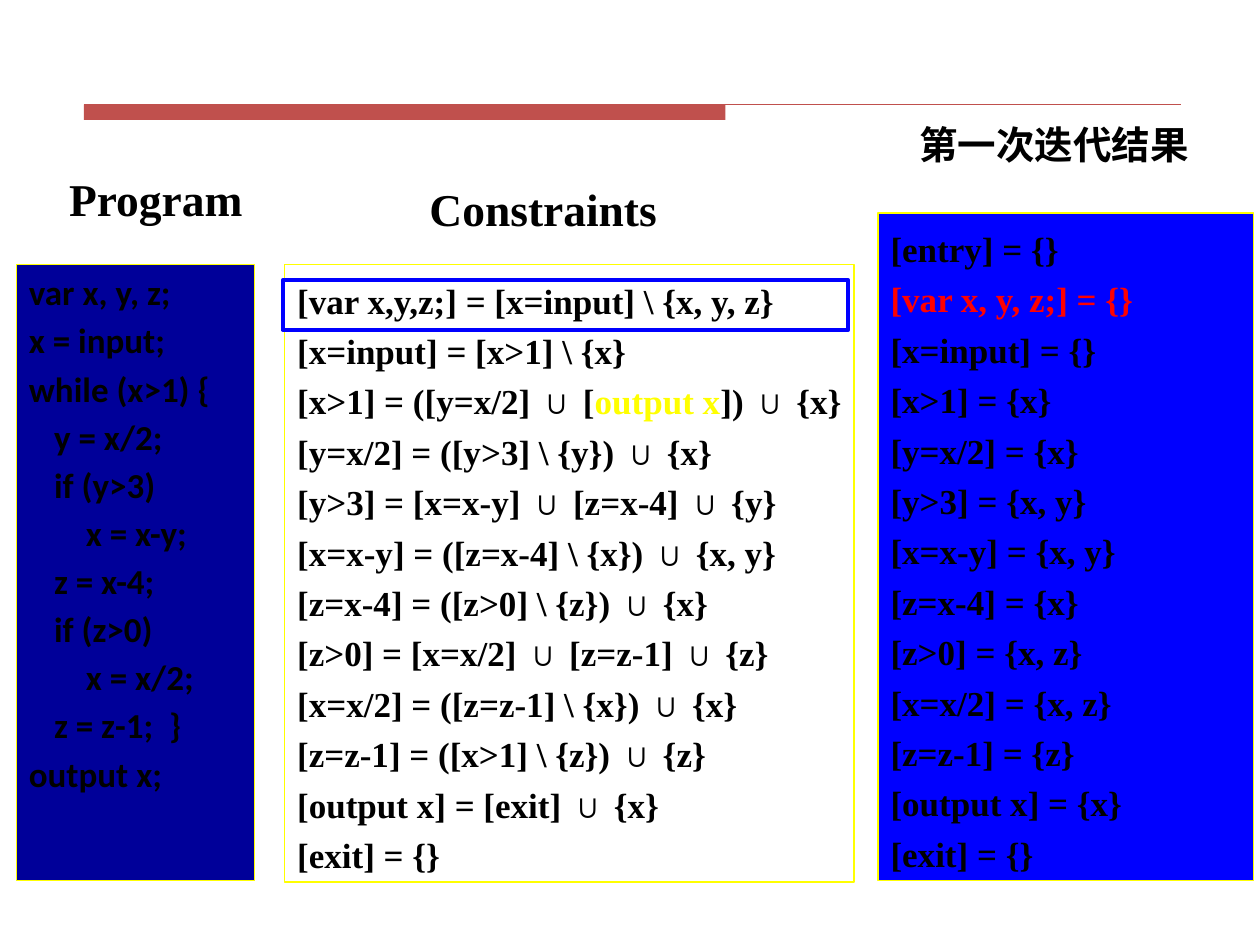
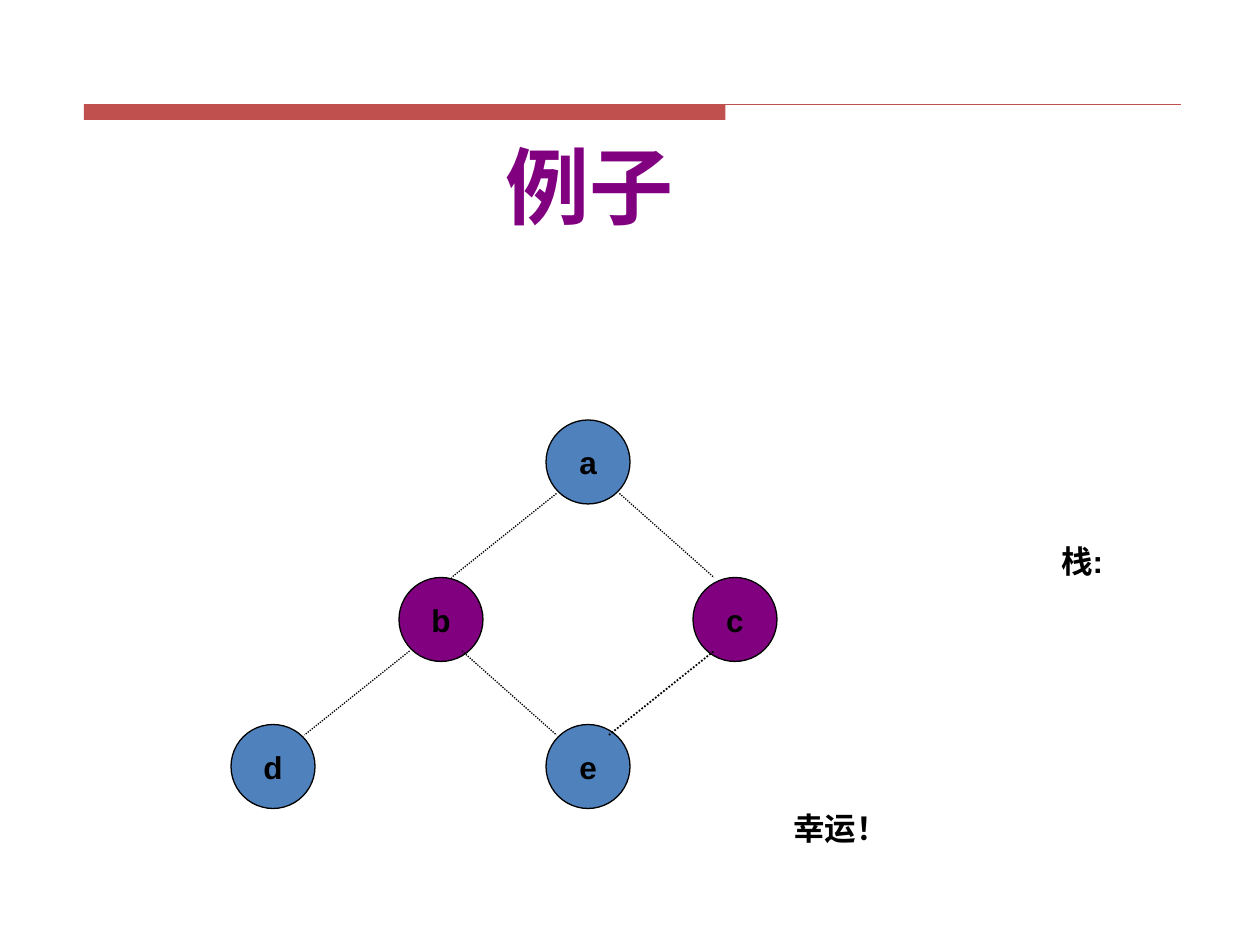
from lxml import etree
from pptx import Presentation
from pptx import util as u
from pptx.dml import color
from pptx.enum import dml, shapes, text

Pt = u.Pt
BLACK, YELLOW, RED, BLUE = "000000", "FFFF00", "FF0000", "0000FF"
NAVY, BAND, STEEL, PURPLE, WHITE = "000099", "C0504D", "4F81BD", "800080", "FFFFFF"
SERIF, SANS, CODE = "Times New Roman", "Arial", "Calibri"

HEADINGS = [
    ("Program", 26, (32.4, 94.3, 120.2, 38.2)),
    ("第一次迭代结果", 22, (518.4, 65.5, 169.2, 33.8)),
    ("Constraints", 26, (238.3, 100.1, 144.7, 38.2)),
]
PROGRAM = [
    (0, "var x, y, z;"), (0, "x = input;"), (0, "while (x>1) {"),
    (1, "y = x/2;"), (1, "if (y>3)"), (2, "x = x-y;"),
    (1, "z = x-4;"), (1, "if (z>0)"), (2, "x = x/2;"),
    (1, "z = z-1;  }"), (0, "output x;"),
]
CODE_INDENTS = (0, 14.4, 32.5)
CONSTRAINTS = [
    "[var x,y,z;] = [x=input] \\ {x, y, z}",
    "[x=input] = [x>1] \\ {x}",
    [("[x>1] = ([y=x/2] ∪ [", BLACK), ("output x", YELLOW), ("]) ∪ {x}", BLACK)],
    "[y=x/2] = ([y>3] \\ {y}) ∪ {x}",
    "[y>3] = [x=x-y] ∪ [z=x-4] ∪ {y}",
    "[x=x-y] = ([z=x-4] \\ {x}) ∪ {x, y}",
    "[z=x-4] = ([z>0] \\ {z}) ∪ {x}",
    "[z>0] = [x=x/2] ∪ [z=z-1] ∪ {z}",
    "[x=x/2] = ([z=z-1] \\ {x}) ∪ {x}",
    "[z=z-1] = ([x>1] \\ {z}) ∪ {z}",
    "[output x] = [exit] ∪ {x}",
    "[exit] = {}",
]
RESULTS = [
    "[entry] = {}", [("[var x, y, z;] = {}", RED)], "[x=input] = {}",
    "[x>1] = {x}", "[y=x/2] = {x}", "[y>3] = {x, y}", "[x=x-y] = {x, y}",
    "[z=x-4] = {x}", "[z>0] = {x, z}", "[x=x/2] = {x, z}", "[z=z-1] = {z}",
    "[output x] = {x}", "[exit] = {}",
]

NODE_SIZE = 48
NODES = {
    "a": (336, 264, STEEL), "b": (252, 354, PURPLE), "c": (420, 354, PURPLE),
    "d": (156, 438, STEEL), "e": (336, 438, STEEL),
}
EDGES = [
    ("b", (-18, 18), "d", (18, -18), 0.75),
    ("b", (12, 18), "e", (-18, -18), 0.75),
    ("a", (-18, 18), "b", (6, -24), 0.75),
    ("a", (18, 18), "c", (-12, -24), 0.75),
    ("e", (12, -18), "c", (-12, 18), 1),
]
NOTES = [
    ("栈:", 18, BLACK, (599, 306, 38.9, 158.4), text.MSO_ANCHOR.TOP),
    ("幸运！", 18, BLACK, (445.7, 458.6, 69.1, 28.8), text.MSO_ANCHOR.TOP),
    ("例子", 48, PURPLE, (257.8, 60.5, 158.4, 90), text.MSO_ANCHOR.MIDDLE),
]


def rgb(value):
    return color.RGBColor.from_string(value)


def add_box(slide, box, fill=None, line=None, width=0.75, kind=shapes.MSO_SHAPE.RECTANGLE):
    shape = slide.shapes.add_shape(kind, *map(Pt, box))
    shape.shadow.inherit = False
    if fill:
        shape.fill.solid()
        shape.fill.fore_color.rgb = rgb(fill)
    else:
        shape.fill.background()
    if line:
        shape.line.color.rgb = rgb(line)
        shape.line.width = Pt(width)
    else:
        shape.line.fill.background()
    return shape


def add_line(slide, start, end, line, width=0.75, dash=None):
    connector = slide.shapes.add_connector(
        shapes.MSO_CONNECTOR.STRAIGHT, *map(Pt, (*start, *end)))
    connector.line.color.rgb = rgb(line)
    connector.line.width = Pt(width)
    if dash:
        connector.line.dash_style = dash
    namespace = "http://schemas.openxmlformats.org/drawingml/2006/main"
    etree.SubElement(connector.element.spPr, f"{{{namespace}}}effectLst")


def write(shape, lines, size, font, ink=BLACK, align=text.PP_ALIGN.LEFT,
          anchor=text.MSO_ANCHOR.TOP, wrap=False, spacing=None):
    frame = shape.text_frame
    frame.word_wrap = wrap
    frame.vertical_anchor = anchor
    for index, line in enumerate(lines):
        paragraph = frame.paragraphs[0] if index == 0 else frame.add_paragraph()
        paragraph.alignment = align
        if spacing:
            paragraph.line_spacing = spacing
        for words, run_ink in ([(line, ink)] if isinstance(line, str) else line):
            run = paragraph.add_run()
            run.text = words
            run.font.name = font
            run.font.size = Pt(size)
            run.font.bold = True
            run.font.color.rgb = rgb(run_ink)
    return frame


def add_label(slide, words, size, font, box, **style):
    write(slide.shapes.add_textbox(*map(Pt, box)), [words], size, font, **style)


def add_slide(presentation):
    slide = presentation.slides.add_slide(presentation.slide_layouts[6])
    add_box(slide, (48, 59.8, 366.5, 8.8), BAND)
    add_line(slide, (48, 59.8), (674.6, 59.8), BAND)
    return slide


def build_iteration(presentation):
    slide = add_slide(presentation)
    constraints = add_box(slide, (162.7, 151.2, 325.4, 352.8), WHITE, YELLOW)
    write(constraints, CONSTRAINTS, 20, SERIF, spacing=1.2)
    results = add_box(slide, (501.8, 121.7, 214.6, 381.6), BLUE, YELLOW)
    write(results, RESULTS, 20, SERIF, wrap=True, spacing=1.2)
    add_box(slide, (161.5, 160.2, 323.3, 28.4), line=BLUE, width=2.25)

    program = add_box(slide, (9.4, 151.2, 136.1, 352.1), NAVY, YELLOW)
    frame = write(program, [words for _, words in PROGRAM], 20, CODE, wrap=True)
    for index, (level, _) in enumerate(PROGRAM):
        properties = frame.paragraphs[index]._p.get_or_add_pPr()
        properties.set("marL", str(Pt(CODE_INDENTS[level])))
        if index:
            frame.paragraphs[index].space_before = Pt(3.5)
    for words, size, box in HEADINGS:
        add_label(slide, words, size, SERIF, box)


def build_graph(presentation):
    slide = add_slide(presentation)
    for name, (x, y, fill) in NODES.items():
        box = (x - NODE_SIZE / 2, y - NODE_SIZE / 2, NODE_SIZE, NODE_SIZE)
        node = add_box(slide, box, fill, BLACK, kind=shapes.MSO_SHAPE.OVAL)
        write(node, [name], 18, SANS, align=text.PP_ALIGN.CENTER,
              anchor=text.MSO_ANCHOR.MIDDLE)
    for first, first_offset, second, second_offset, width in EDGES:
        start, end = (
            (NODES[name][0] + dx, NODES[name][1] + dy)
            for name, (dx, dy) in ((first, first_offset), (second, second_offset)))
        add_line(slide, start, end, BLACK, width, dml.MSO_LINE.ROUND_DOT)
    for words, size, ink, box, anchor in NOTES:
        add_label(slide, words, size, SANS, box, ink=ink,
                  align=text.PP_ALIGN.CENTER, anchor=anchor)


def main():
    presentation = Presentation()
    presentation.slide_width, presentation.slide_height = Pt(720), Pt(540)
    build_iteration(presentation)
    build_graph(presentation)
    presentation.save("out.pptx")


if __name__ == "__main__":
    main()
